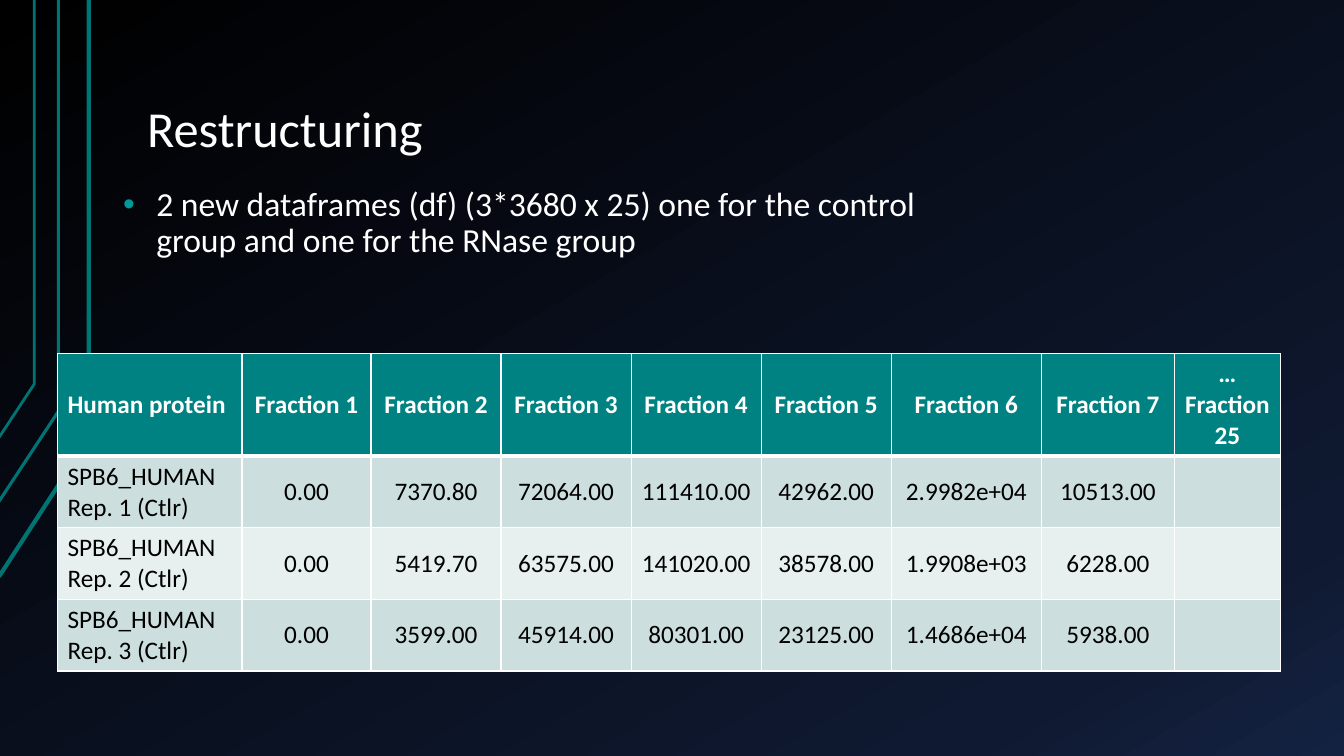
from copy import deepcopy

from lxml import etree
from pptx import Presentation
from pptx.dml.color import RGBColor
from pptx.enum.text import MSO_ANCHOR, MSO_AUTO_SIZE, PP_ALIGN
from pptx.oxml.ns import qn
from pptx.util import Inches, Pt

LEFT, CENTER = PP_ALIGN.LEFT, PP_ALIGN.CENTER
TOP, MIDDLE, BOTTOM = MSO_ANCHOR.TOP, MSO_ANCHOR.MIDDLE, MSO_ANCHOR.BOTTOM
NO_AUTOFIT = MSO_AUTO_SIZE.NONE

FONT = "Calibri"
COLORS = {
    "white": "FFFFFF", "black": "000000", "bullet": "009999", "line": "007373",
    "header": "008282", "odd_row": "CCDEDE", "even_row": "E7EFEF",
}
BACKGROUND_STOPS = [(0, "000000"), (0.85, "0F1931"), (1, "142242")]

# Corner points in hundredths of an inch, and line width in points
DECOR_LINES = [
    ([(-1, 572), (88, 435), (88, 0)], 3),
    ([(-2, 499), (58, 408), (58, 0)], 2.25),
    ([(-1, 434), (34, 381), (34, 0)], 2),
]

COLUMN_WIDTHS = [1.83, 1.28, 1.29, 1.29, 1.29, 1.29, 1.49, 1.32, 1.05]
HEADER_HEIGHT, ROW_HEIGHT = 1.01, 0.71
HEADERS = ["Human protein", *(f"Fraction {n}" for n in range(1, 8)), "… Fraction 25"]
READINGS = [
    ["0.00", "7370.80", "72064.00", "111410.00", "42962.00", "2.9982e+04", "10513.00"],
    ["0.00", "5419.70", "63575.00", "141020.00", "38578.00", "1.9908e+03", "6228.00"],
    ["0.00", "3599.00", "45914.00", "80301.00", "23125.00", "1.4686e+04", "5938.00"],
]


def rgb(name):
    return RGBColor.from_string(COLORS[name])


def set_font(paragraph, size, color, bold=False):
    font = paragraph.font
    font.name, font.size, font.bold = FONT, Pt(size), bold
    font.color.rgb = rgb(color)


def paint_background(slide):
    fill = slide.background.fill
    fill.gradient()
    fill.gradient_angle = 300
    stop_list = slide.element.find(".//" + qn("a:gsLst"))
    stop_list.append(deepcopy(stop_list[-1]))
    for stop, (position, color) in zip(fill.gradient_stops, BACKGROUND_STOPS):
        stop.position = position
        stop.color.rgb = RGBColor.from_string(color)


def add_decor_line(slide, points, width):
    start, *others = points
    builder = slide.shapes.build_freeform(*start, scale=Inches(0.01))
    builder.add_line_segments(others, close=False)
    shape = builder.convert_to_shape()
    shape.shadow.inherit = False
    shape.fill.background()
    shape.line.color.rgb = rgb("line")
    shape.line.width = Pt(width)


def fill_placeholder(shape, box, text, size, anchor):
    shape.left, shape.top, shape.width, shape.height = map(Inches, box)
    frame = shape.text_frame
    frame.text = text
    frame.word_wrap = True
    frame.auto_size = NO_AUTOFIT
    frame.vertical_anchor = anchor
    frame.margin_left = frame.margin_right = Inches(0.13)
    frame.margin_top = frame.margin_bottom = Inches(0.07)
    paragraph = frame.paragraphs[0]
    paragraph.alignment = LEFT
    paragraph.line_spacing = 0.9
    set_font(paragraph, size, "white")
    return paragraph


def add_bullet(paragraph, indent):
    paragraph.space_before = Pt(16)
    properties = paragraph._p.get_or_add_pPr()
    properties.set("marL", str(Inches(indent)))
    properties.set("indent", str(-Inches(indent)))
    bullet_color = etree.Element(qn("a:buClr"))
    etree.SubElement(bullet_color, qn("a:srgbClr"), val=COLORS["bullet"])
    bullet_font = etree.Element(qn("a:buFont"), typeface="Arial")
    bullet = etree.Element(qn("a:buChar"), char="•")
    # Bullet settings stand between the spacing and the font
    font_properties = properties.find(qn("a:defRPr"))
    for element in (bullet_color, bullet_font, bullet):
        font_properties.addprevious(element)


def set_borders(cell, widths):
    properties = cell._tc.get_or_add_tcPr()
    for side, width in widths.items():
        line = etree.SubElement(properties, qn(f"a:ln{side}"), w=str(Pt(width)))
        solid = etree.SubElement(line, qn("a:solidFill"))
        etree.SubElement(solid, qn("a:srgbClr"), val=COLORS["white"])


def format_cell(cell, text, row, column):
    is_header = row == 0
    set_borders(cell, {"L": 1, "R": 1, "T": 3 if row == 1 else 1,
                       "B": 3 if is_header else 1})
    cell.fill.solid()
    cell.fill.fore_color.rgb = rgb(
        "header" if is_header else "odd_row" if row % 2 else "even_row")
    cell.vertical_anchor = MIDDLE
    cell.text = text
    paragraph = cell.text_frame.paragraphs[0]
    paragraph.alignment = CENTER if column else LEFT
    set_font(paragraph, 18, "white" if is_header else "black", is_header)


def add_fraction_table(slide, left, top):
    rows = [HEADERS]
    for number, values in enumerate(READINGS, 1):
        rows.append([f"SPB6_HUMAN Rep. {number} (Ctlr)", *values, ""])
    heights = [HEADER_HEIGHT] + [ROW_HEIGHT] * len(READINGS)
    table = slide.shapes.add_table(
        len(rows), len(HEADERS), Inches(left), Inches(top),
        Inches(sum(COLUMN_WIDTHS)), Inches(sum(heights))).table
    for column, width in zip(table.columns, COLUMN_WIDTHS):
        column.width = Inches(width)
    for row, height in zip(table.rows, heights):
        row.height = Inches(height)
    for row, texts in enumerate(rows):
        for column, text in enumerate(texts):
            format_cell(table.cell(row, column), text, row, column)


def main():
    presentation = Presentation()
    presentation.slide_width = Inches(13.33)
    presentation.slide_height = Inches(7.5)
    slide = presentation.slides.add_slide(presentation.slide_layouts[1])

    # Background and corner lines
    paint_background(slide)
    for points, width in DECOR_LINES:
        add_decor_line(slide, points, width)

    # Title and list
    title, body = slide.placeholders
    fill_placeholder(title, (1.33, 0.3, 11.33, 1.34), "Restructuring", 36, BOTTOM)
    paragraph = fill_placeholder(
        body, (1.09, 1.79, 8.64, 2.28),
        "2 new dataframes (df) (3*3680 x 25) one for the control "
        "group and one for the RNase group", 24, TOP)
    add_bullet(paragraph, 0.33)

    # Readings per fraction
    add_fraction_table(slide, 0.57, 3.51)
    presentation.save("out.pptx")


if __name__ == "__main__":
    main()
